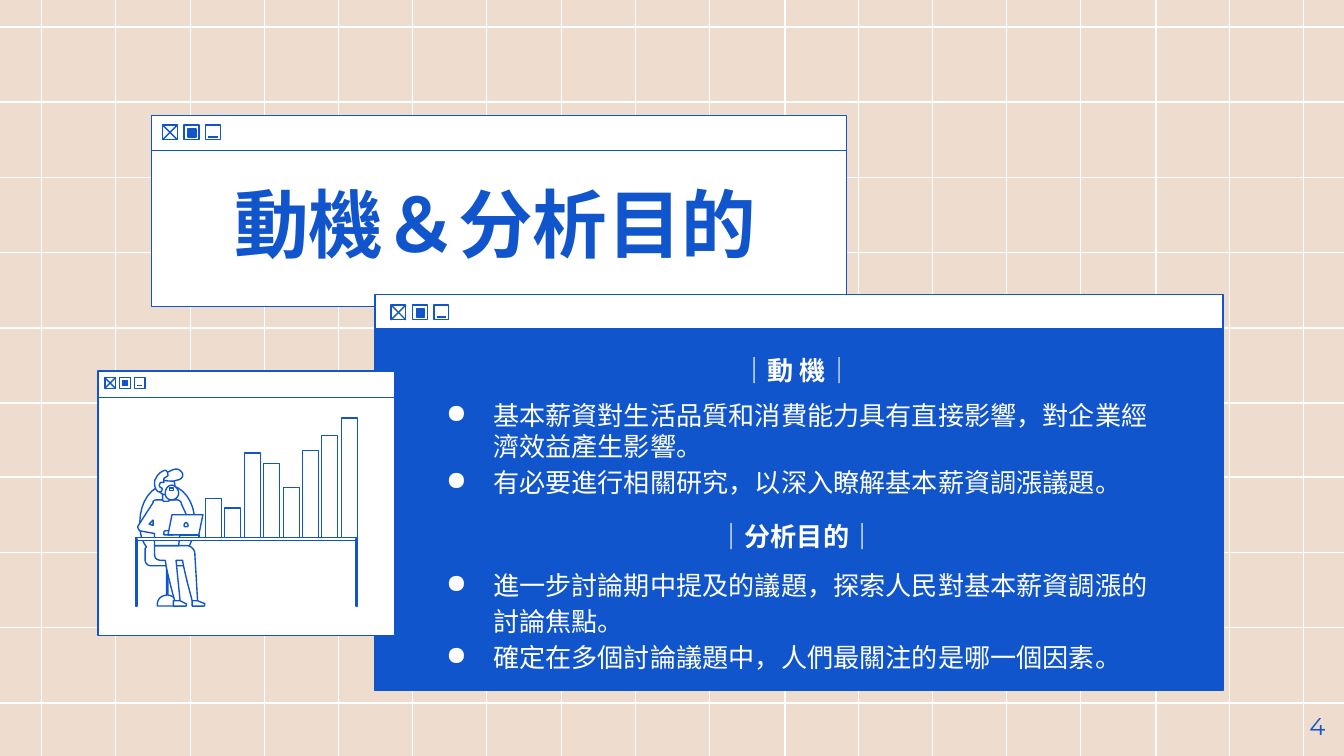
from dataclasses import dataclass

from lxml.etree import SubElement
from pptx import Presentation
from pptx.dml.color import RGBColor
from pptx.enum.shapes import MSO_CONNECTOR, MSO_SHAPE
from pptx.enum.text import MSO_ANCHOR, PP_ALIGN
from pptx.oxml.ns import qn
from pptx.util import Pt

PX = 9144  # EMU in one px, 100 px to the inch
WIDE, HIGH = 1000, 562


@dataclass(frozen=True)
class Theme:
    blue: RGBColor = RGBColor(0x11, 0x55, 0xCC)
    white: RGBColor = RGBColor(0xFF, 0xFF, 0xFF)
    sand: RGBColor = RGBColor(0xEE, 0xDC, 0xCE)
    stroke: float = 0.75
    head: str = "Courier New"
    body: str = "Montserrat"
    head_size: int = 40
    body_size: int = 14
    page_size: int = 13


THEME = Theme()

# Outlines: M moves, L draws a line, C a cubic curve, Z closes.
CHAIR = (
    "M 124 361 C 113 361 104 373 104 389 C 104 396 105 402 109 407 C 108 408 108 408 108 409 "
    "L 108 417 C 108 419 110 421 112 421 L 124 421 L 124 443 C 120 443 117 446 117 450 "
    "L 117 451 L 131 451 L 131 450 C 131 446 129 443 125 443 L 125 421 L 137 421 "
    "C 139 421 140 419 140 417 L 140 409 C 140 408 140 408 140 408 C 143 402 145 396 145 389 "
    "C 145 373 136 361 124 361 Z"
)
LEGS = (
    "M 115 406 L 115 412 C 115 416 117 417 121 417 L 123 417 C 124 426 130 447 130 447 "
    "L 134 447 L 131 417 L 136 417 L 136 418 C 137 425 143 447 143 447 L 147 447 L 145 413 "
    "L 145 412 C 145 409 142 406 139 406 Z"
)
SHOES = (
    "M 143 447 L 143 451 L 152 451 C 152 451 153 449 152 449 L 147 447 Z",
    "M 129 447 L 129 451 L 138 451 C 139 451 139 449 138 449 L 134 447 Z",
)
ARM_REST = "M 120 398 L 120 401 L 148 401 L 148 398 Z"
SHIRT = (
    "M 114 387 L 114 391 L 111 390 L 114 387 Z "
    "M 117 372 C 116 372 115 372 114 373 C 114 373 114 374 114 374 L 103 391 "
    "C 102 392 103 394 104 395 L 115 397 L 115 406 L 133 406 L 135 387 L 141 388 L 135 375 "
    "C 135 373 133 372 132 372 Z"
)
HAND = "M 124 395 C 123 395 122 395 122 396 L 122 398 L 129 398 L 129 395 Z"
LAPTOP = "M 128 383 L 125 398 L 148 398 L 151 383 Z"
BADGE = (
    "M 138 389 C 138 389 137 390 137 391 C 137 392 138 392 138 392 "
    "C 139 392 140 392 140 391 C 140 390 139 389 139 389 Z"
)
NECK = (
    "M 122 366 C 121 366 121 366 121 367 L 121 371 C 121 372 121 373 122 373 L 125 373 "
    "C 126 373 127 372 126 371 L 126 367 C 126 367 126 366 125 366 Z"
)
FACE = (
    "M 124 352 C 120 352 117 354 117 358 C 116 362 118 367 122 368 C 123 368 125 369 126 369 "
    "C 128 369 129 368 130 365 C 131 361 129 354 126 353 C 126 353 125 352 124 352 Z"
)
FRINGE = (
    "M 131 349 C 129 349 126 351 123 352 C 122 354 121 355 120 357 C 120 357 124 358 128 358 "
    "C 130 358 132 357 133 357 C 136 356 137 353 135 351 C 134 350 133 349 131 349 Z"
)
BEARD = (
    "M 128 361 C 125 361 123 364 123 367 C 123 370 125 372 128 372 C 130 372 133 370 133 367 "
    "C 133 364 130 361 128 361 Z"
)
MOUTH = "M 126 363 L 126 365 L 129 365 L 129 363 Z"
HAIR = (
    "M 123 350 C 121 350 117 353 116 356 C 114 358 115 365 118 366 C 118 366 118 366 119 366 "
    "C 121 366 121 363 120 363 C 119 363 118 361 119 360 C 119 359 120 359 121 359 "
    "C 121 359 121 359 122 359 C 122 359 122 356 122 356 L 125 354 C 125 354 125 350 123 350 Z"
)
SEATED = (CHAIR, LEGS, *SHOES, ARM_REST, SHIRT)
DESK = ((101, 400, 165, 2), (265, 401, 1, 50), (101, 401, 1, 50))
UPPER = (HAND, LAPTOP, BADGE, NECK, FACE, FRINGE, BEARD, MOUTH, HAIR)
BAR_TOPS = (371, 378, 337, 345, 363, 335, 324, 311)


def emu(*values):
    return [round(value * PX) for value in values]


def paint(shape, fill):
    shape.shadow.inherit = False
    shape.line.color.rgb = THEME.blue
    shape.line.width = Pt(THEME.stroke)
    if fill is None:
        shape.fill.background()
    else:
        shape.fill.solid()
        shape.fill.fore_color.rgb = fill


def box(slide, x, y, w, h, fill=None):
    paint(slide.shapes.add_shape(MSO_SHAPE.RECTANGLE, *emu(x, y, w, h)), fill)


def rule(slide, x1, y1, x2, y2, color=THEME.blue):
    line = slide.shapes.add_connector(MSO_CONNECTOR.STRAIGHT, *emu(x1, y1, x2, y2))
    line.line.color.rgb = color
    line.line.width = Pt(THEME.stroke)
    SubElement(line._element.spPr, qn("a:effectLst"))


def curve(a, b, c, d, steps=8):
    """Return the points of a cubic curve after its start."""
    points = []
    for step in range(1, steps + 1):
        t = step / steps
        u = 1 - t
        mix = (u**3, 3 * u * u * t, 3 * u * t * t, t**3)
        points.append(tuple(sum(m * p[i] for m, p in zip(mix, (a, b, c, d))) for i in (0, 1)))
    return points


def outline(slide, route):
    """Draw a white shape from a route of M, L, C and Z steps."""
    parts = iter(route.split())
    pen, maker = None, None

    def point():
        return int(next(parts)), int(next(parts))

    for code in parts:
        if code == "M":
            pen = point()
            if maker is None:
                maker = slide.shapes.build_freeform(*emu(*pen), scale=1.0)
            else:
                maker.move_to(*emu(*pen))
        elif code == "Z":
            maker.add_line_segments([], close=True)
        else:
            points = [point()] if code == "L" else curve(pen, point(), point(), point())
            maker.add_line_segments([emu(*spot) for spot in points], close=False)
            pen = points[-1]
    paint(maker.convert_to_shape(), THEME.white)


def window(slide, x, y, w, h, bar, fill, icons):
    """Draw a window; icons holds left, top, size and gap of its buttons."""
    box(slide, x, y + bar, w, h - bar, fill)
    box(slide, x, y, w, bar, THEME.white)
    left, top, size, gap = icons
    cross, full, small = (left + i * (size + gap) for i in range(3))
    for spot in (cross, full, small):
        box(slide, spot, top, size, size)
    rule(slide, cross, top, cross + size, top + size)
    rule(slide, cross + size, top, cross, top + size)
    inset, core = round(size / 4), (size + 1) // 2
    box(slide, full + inset, top + inset, core, core, THEME.blue)
    rule(slide, small + 2, top + size - 2, small + size - 2, top + size - 2)


def text_box(slide, x, y, w, h, anchor=MSO_ANCHOR.TOP):
    frame = slide.shapes.add_textbox(*emu(x, y, w, h)).text_frame
    frame.word_wrap = True
    frame.vertical_anchor = anchor
    frame.margin_left = frame.margin_right = frame.margin_top = frame.margin_bottom = 10 * PX
    return frame


def style(para, name, size, color, align=PP_ALIGN.LEFT, bold=False):
    para.alignment = align
    font = para.font
    font.name, font.size, font.bold = name, Pt(size), bold
    font.color.rgb = color


def heading(para, parts, before=0):
    """Fill a centred line from pairs of text and bold."""
    style(para, THEME.body, THEME.body_size, THEME.white, PP_ALIGN.CENTER)
    para.space_before, para.space_after = Pt(before), Pt(7)
    for text, bold in parts:
        run = para.add_run()
        run.text, run.font.bold = text, bold


def bullet(para, text, spacing=1.15):
    para.text = text
    style(para, THEME.body, THEME.body_size, THEME.white)
    para.line_spacing = spacing
    props = para._p.get_or_add_pPr()
    props.set("marL", str(50 * PX))
    props.set("indent", str(-35 * PX))
    tint = SubElement(props, qn("a:buClr"))
    SubElement(tint, qn("a:srgbClr")).set("val", str(THEME.white))
    SubElement(props, qn("a:buChar")).set("char", "●")
    props.append(props.find(qn("a:defRPr")))  # the schema wants it last


def grid(slide):
    for i in range(18):
        x = round(31 + i * 55.25)
        rule(slide, x, -1, x, HIGH + 1, THEME.white)
    for i in range(10):
        y = round(20 + i * 55.9)
        rule(slide, WIDE, y, 0, y, THEME.white)


def drawing(slide):
    for route in SEATED:
        outline(slide, route)
    for part in DESK:
        box(slide, *part, THEME.white)
    for route in UPPER:
        outline(slide, route)
    for i, top in enumerate(BAR_TOPS):
        box(slide, round(153 + i * 14.4), top, 12, 400 - top, THEME.white)


def main():
    deck = Presentation()
    deck.slide_width, deck.slide_height = WIDE * PX, WIDE * PX * 9 // 16
    slide = deck.slides.add_slide(deck.slide_layouts[6])
    slide.background.fill.solid()
    slide.background.fill.fore_color.rgb = THEME.sand
    grid(slide)
    window(slide, 113, 86, 517, 142, 26, THEME.white, (121, 93, 11, 5))
    window(slide, 279, 219, 631, 295, 26, THEME.blue, (291, 227, 11, 5))

    title = text_box(slide, 134, 122, 469, 88, MSO_ANCHOR.MIDDLE).paragraphs[0]
    title.text = "動機＆分析目的"
    style(title, THEME.head, THEME.head_size, THEME.blue, PP_ALIGN.CENTER, True)

    body = text_box(slide, 307, 254, 572, 227)
    heading(body.paragraphs[0], (("｜動 機", True), ("｜", False)))
    bullet(body.add_paragraph(), "基本薪資對生活品質和消費能力具有直接影響，對企業經濟效益產生影響。", 1.0)
    bullet(body.add_paragraph(), "有必要進行相關研究，以深入瞭解基本薪資調漲議題。")
    heading(body.add_paragraph(), (("｜分析目的｜", True),), 12)
    bullet(body.add_paragraph(), "進一步討論期中提及的議題，探索人民對基本薪資調漲的討論焦點。")
    bullet(body.add_paragraph(), "確定在多個討論議題中，人們最關注的是哪一個因素。")

    window(slide, 73, 276, 221, 197, 20, THEME.white, (78, 281, 8, 3))
    drawing(slide)
    page = text_box(slide, 936, 519, 60, 43).paragraphs[0]
    page.text = "4"
    style(page, THEME.body, THEME.page_size, THEME.blue, PP_ALIGN.RIGHT)
    deck.save("out.pptx")


if __name__ == "__main__":
    main()
